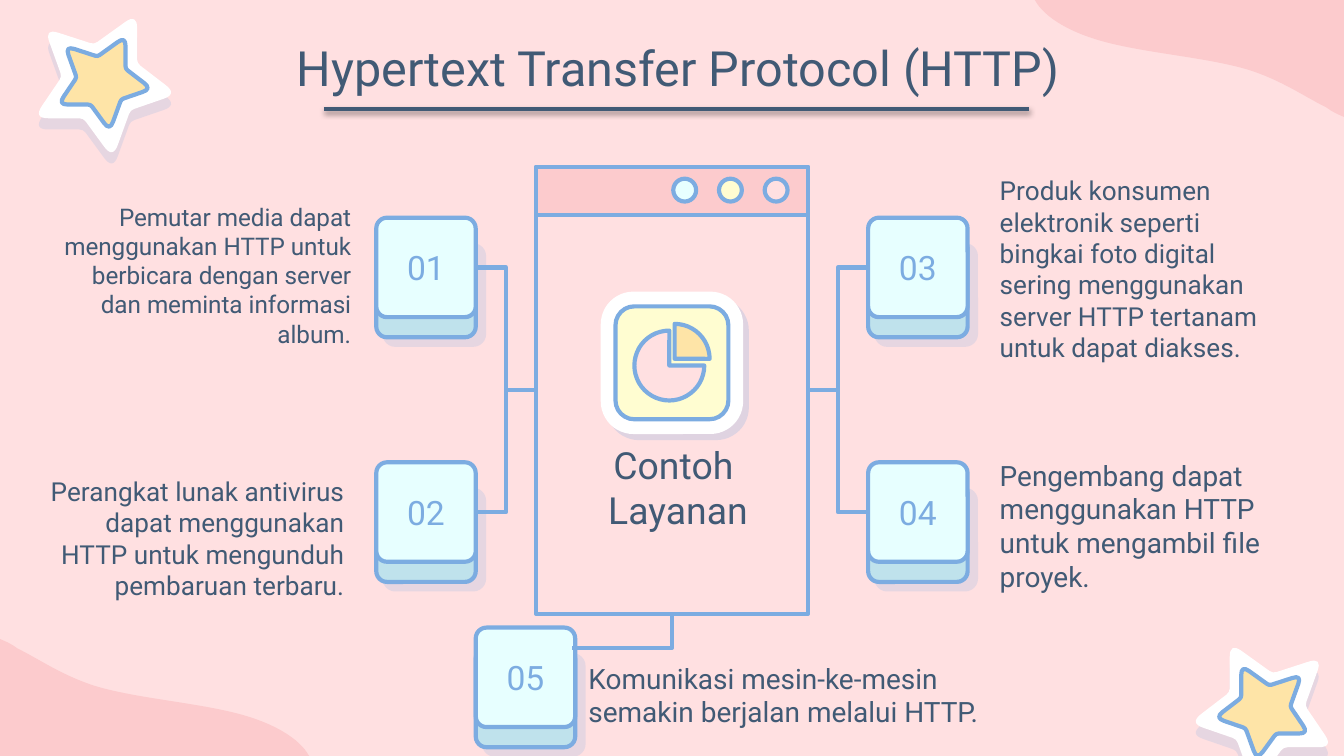
"""Builds a slide on example services that use HTTP."""
from math import dist

from lxml import etree
from pptx import Presentation
from pptx.dml.color import RGBColor
from pptx.enum.shapes import MSO_CONNECTOR, MSO_SHAPE
from pptx.enum.text import MSO_ANCHOR, PP_ALIGN
from pptx.oxml.ns import qn
from pptx.util import Inches, Pt

RECT, ROUNDED, BAR = MSO_SHAPE.RECTANGLE, MSO_SHAPE.ROUNDED_RECTANGLE, MSO_SHAPE.ROUND_2_SAME_RECTANGLE
OVAL, PIE = MSO_SHAPE.OVAL, MSO_SHAPE.PIE
ELBOW, STRAIGHT = MSO_CONNECTOR.ELBOW, MSO_CONNECTOR.STRAIGHT
LEFT, CENTER, RIGHT = PP_ALIGN.LEFT, PP_ALIGN.CENTER, PP_ALIGN.RIGHT
TOP, MIDDLE, BOTTOM = MSO_ANCHOR.TOP, MSO_ANCHOR.MIDDLE, MSO_ANCHOR.BOTTOM

PINK, ROSE = RGBColor(0xFF, 0xE0, 0xE1), RGBColor(0xFC, 0xCB, 0xCD)
BLUE, NAVY = RGBColor(0x7C, 0xAC, 0xE1), RGBColor(0x41, 0x5A, 0x75)
ICE, AQUA = RGBColor(0xE7, 0xFF, 0xFF), RGBColor(0xBF, 0xE2, 0xEC)
CREAM, GOLD = RGBColor(0xFF, 0xFD, 0xD1), RGBColor(0xFE, 0xE4, 0xA7)
WHITE, BLACK = RGBColor(255, 255, 255), RGBColor(0, 0, 0)

FONT = "Roboto"
WIDTH, HEIGHT = 10, 5.625
CARD, CARD_DEPTH = 0.74, 0.15
WINDOW = (3.99, 1.24, 2.02, 3.33)
COLUMNS, ROWS = (2.8, 6.46), (1.62, 3.44)

TITLE = "Hypertext Transfer Protocol (HTTP)"
TOPIC = ["Contoh ", "Layanan"]
SERVICES = [
    ("01", COLUMNS[0], ROWS[0], (0.31, 1.43, 2.4, 1.26), 13, RIGHT,
     "Pemutar media dapat menggunakan HTTP untuk berbicara dengan server dan meminta informasi album."),
    ("02", COLUMNS[0], ROWS[1], (0.27, 3.31, 2.39, 1.26), 14, RIGHT,
     "Perangkat lunak antivirus dapat menggunakan HTTP untuk mengunduh pembaruan terbaru."),
    ("03", COLUMNS[1], ROWS[0], (7.34, 1.54, 2.35, 1.26), 14, LEFT,
     "Produk konsumen elektronik seperti bingkai foto digital sering menggunakan server HTTP "
     "tertanam untuk dapat diakses."),
    ("04", COLUMNS[1], ROWS[1], (7.34, 3.25, 2.35, 1.26), 15, LEFT,
     "Pengembang dapat menggunakan HTTP untuk mengambil file proyek."),
    ("05", 3.54, 4.67, (4.28, 4.86, 3.49, 0.66), 15, LEFT,
     "Komunikasi mesin-ke-mesin semakin berjalan melalui HTTP."),
]
WAVE = [
    [(7.7, 0)],
    [(7.77, 0.13), (7.97, 0.25), (8.25, 0.32)],
    [(8.57, 0.4), (8.99, 0.43), (9.29, 0.52)],
    [(9.54, 0.6), (9.69, 0.71), (9.87, 0.8)],
    [(9.91, 0.83), (9.95, 0.85), (10, 0.87)],
    [(10, 0)],
]
STAR_CENTER = (0.775, 0.59)
STAR_TIPS = [(1.02, 0.1), (0.33, 0.21), (0.25, 0.88), (0.84, 1.18), (1.32, 0.7)]
STAR_NOTCHES = [(0.7, 0.33), (0.46, 0.57), (0.62, 0.88), (0.97, 0.82), (1.02, 0.47)]
STAR_LAYERS = [(1, WHITE, None, (BLUE, 19, 0, 6, 90)), (0.65, GOLD, BLUE, None)]


def blend(a, b, share):
    return tuple(p + (q - p) * share for p, q in zip(a, b))


def star_outline():
    corners = [corner for pair in zip(STAR_TIPS, STAR_NOTCHES) for corner in pair]
    segments = []
    for i, corner in enumerate(corners):
        trim = 0.03 if i % 2 else 0.11
        before, after = (blend(corner, other, trim / dist(corner, other))
                         for other in (corners[i - 1], corners[(i + 1) % len(corners)]))
        segments += [[before], [blend(before, corner, 0.67), blend(after, corner, 0.67), after]]
    return segments


def cast_shadow(shape, color, alpha, blur, distance, angle):
    effects = shape._element.spPr.find(qn("a:effectLst"))
    outer = etree.SubElement(effects, qn("a:outerShdw"), blurRad=str(Pt(blur)), dist=str(Pt(distance)),
                             dir=str(angle * 60000), algn="bl", rotWithShape="0")
    tint = etree.SubElement(outer, qn("a:srgbClr"), val=str(color))
    etree.SubElement(tint, qn("a:alpha"), val=str(alpha * 1000))


def paint(shape, fill, line=BLUE, shadow=None):
    shape.shadow.inherit = False
    shape.fill.solid()
    shape.fill.fore_color.rgb = fill
    if line is None:
        shape.line.fill.background()
    else:
        shape.line.color.rgb = line
        shape.line.width = Pt(2.25)
    if shadow:
        cast_shadow(shape, *shadow)
    return shape


def add_part(kind, box, fill, line=BLUE, shadow=None, adjust=()):
    part = paint(slide.shapes.add_shape(kind, *map(Inches, box)), fill, line, shadow)
    for i, amount in enumerate(adjust):
        part.adjustments[i] = amount
    return part


def add_outline(segments, place, fill, line=None, shadow=None):
    start, *rest = [tuple(map(Inches, place(*point))) for segment in segments for point in segment]
    builder = slide.shapes.build_freeform(*start, scale=1.0)
    builder.add_line_segments(rest, close=True)
    outline = paint(builder.convert_to_shape(), fill, line, shadow)
    steps = iter(list(outline._element.iter(qn("a:lnTo"))))
    for segment in segments[1:]:
        first, *others = [next(steps) for _ in segment]
        if others:
            first.tag = qn("a:cubicBezTo")
            for step in others:
                first.append(step[0])
                step.getparent().remove(step)


def write(shape, lines, size, color, align, anchor):
    frame = shape.text_frame
    frame.word_wrap = True
    frame.vertical_anchor = anchor
    frame.margin_left = frame.margin_right = frame.margin_top = frame.margin_bottom = Inches(0.1)
    for i, line in enumerate(lines):
        paragraph = frame.add_paragraph() if i else frame.paragraphs[0]
        paragraph.alignment = align
        run = paragraph.add_run()
        run.text = line
        run.font.size, run.font.name, run.font.color.rgb = Pt(size), FONT, color


def add_text(box, *style):
    write(slide.shapes.add_textbox(*map(Inches, box)), *style)


def add_link(kind, start, end, color=BLUE, width=2.25):
    link = slide.shapes.add_connector(kind, *map(Inches, start + end))
    link.line.color.rgb = color
    link.line.width = Pt(width)
    etree.SubElement(link._element.spPr, qn("a:effectLst"))
    return link


deck = Presentation()
deck.slide_width, deck.slide_height = Inches(WIDTH), Inches(HEIGHT)
slide = deck.slides.add_slide(deck.slide_layouts[5])
slide.background.fill.solid()
slide.background.fill.fore_color.rgb = PINK

add_outline(WAVE, lambda x, y: (x, y), ROSE)
add_outline(WAVE, lambda x, y: (WIDTH - x, HEIGHT - y), ROSE)
for center, flip in ((STAR_CENTER, 1), ((9.395, 5.27), -1)):
    for scale, *style in STAR_LAYERS:
        add_outline(star_outline(),
                    lambda x, y: (center[0] + flip * scale * (x - STAR_CENTER[0]),
                                  center[1] + scale * (y - STAR_CENTER[1])), *style)

left, top, width, height = WINDOW
add_part(RECT, WINDOW, PINK)
add_part(BAR, (left, top, width, 0.36), ROSE, adjust=(0, 0))
for i, fill in enumerate((ICE, CREAM, PINK)):
    add_part(OVAL, (5.01 + i * 0.34, 1.33, 0.17, 0.17), fill)
add_part(ROUNDED, (4.47, 2.17, 1.06, 1.06), WHITE, None, (BLUE, 24, 0, 4.5, 47), (0.23,))
add_part(ROUNDED, (4.58, 2.28, 0.84, 0.84), CREAM, adjust=(0.167,))
add_part(PIE, (4.72, 2.46, 0.52, 0.52), PINK, adjust=(0, 162))
add_part(PIE, (4.76, 2.41, 0.52, 0.52), GOLD, adjust=(162, 0))
add_text((4.15, 3.25, 1.79, 0.81), TOPIC, 20, NAVY, CENTER, BOTTOM)

for number, x, y, box, size, align, description in SERVICES:
    add_part(ROUNDED, (x, y + CARD_DEPTH, CARD, CARD), AQUA, BLUE, (BLUE, 18, 0, 6, 42), (0.108,))
    face = add_part(ROUNDED, (x, y, CARD, CARD), ICE, adjust=(0.108,))
    write(face, [number], 18, BLUE, CENTER, MIDDLE)
    add_text(box, [description], size, NAVY, align, BOTTOM)

for y in ROWS:
    for card_side, window_side in ((COLUMNS[0] + CARD, left), (COLUMNS[1], left + width)):
        add_link(ELBOW, (card_side, y + CARD / 2), (window_side, top + height / 2))
corner_link = add_link(ELBOW, (4.26, 4.82), (left + width / 2, top + height))
corner_link._element.spPr.find(qn("a:prstGeom")).set("prst", "bentConnector2")

title = slide.shapes.title
title.left, title.top, title.width, title.height = map(Inches, (0.83, 0.18, 8.44, 0.63))
write(title, [TITLE], 26, NAVY, CENTER, TOP)
underline = add_link(STRAIGHT, (2.41, 0.81), (7.66, 0.81), NAVY, 2)
cast_shadow(underline, BLACK, 38, 3.1, 1.6, 90)

deck.save("out.pptx")
